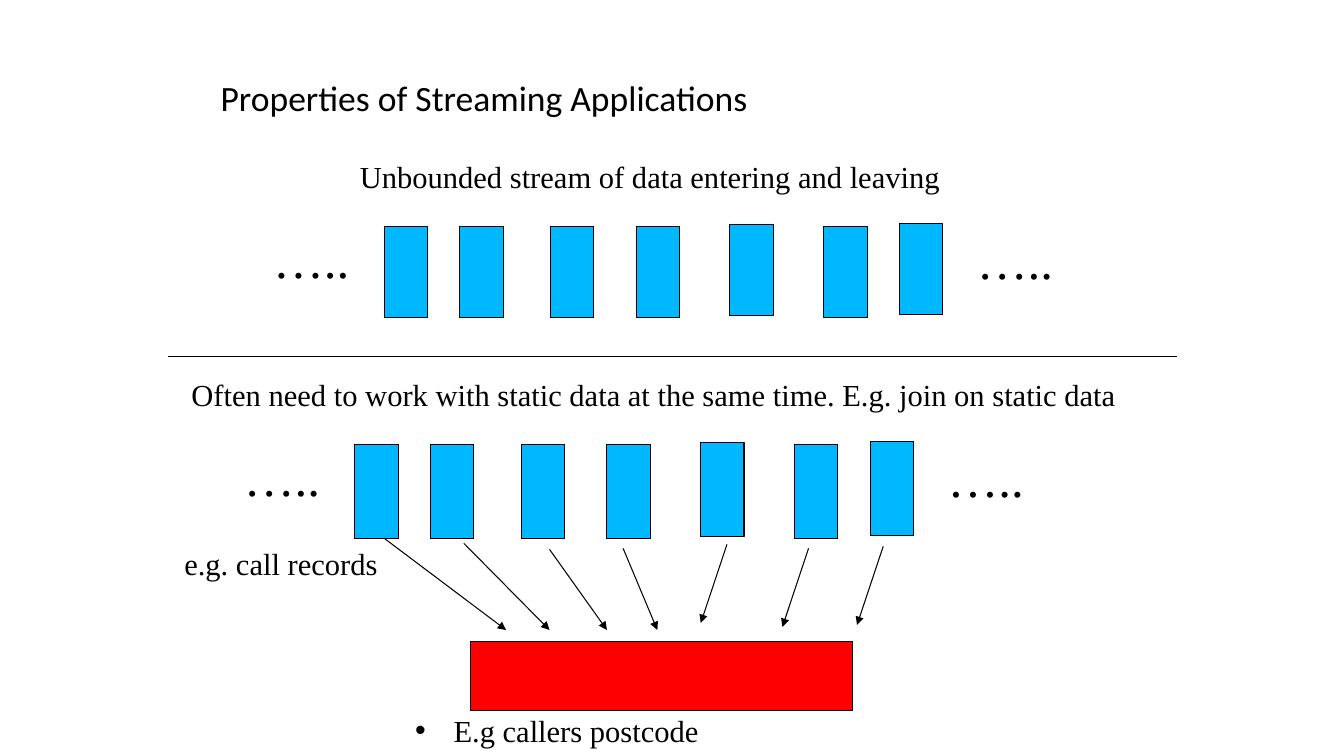
from lxml import etree
from pptx import Presentation, util as u
from pptx.dml.color import RGBColor
from pptx.enum import shapes, text
from pptx.oxml.ns import qn

BLACK = RGBColor(0x00, 0x00, 0x00)
BLUE = RGBColor(0x00, 0xB8, 0xFF)
RED = RGBColor(0xFF, 0x00, 0x00)
SERIF = "Times New Roman"

TITLE = "Properties of Streaming Applications"
DOTS = "….."
# Captions: wording, (left, top, width), bulleted
STREAM_CAPTION = ("Unbounded stream of data entering and leaving", (3.47, 1.52, 5.99), False)
JOIN_CAPTIONS = [
    ("Often need to work with static data at the same time. E.g. join on static data",
     (1.8, 3.68, 9.44), False),
    ("E.g callers postcode", (4.02, 7.01, 3.03), True),
    ("e.g. call records", (1.73, 5.36, 2.13), False),
]
# Packets of a stream, as (right, down) from its first packet
PACKETS = [(0, 0), (0.75, 0), (1.65, 0), (2.5, 0), (3.43, -0.02), (4.36, 0), (5.11, -0.03)]
PACKET_WIDTH = 0.43
# Dots before and after a stream, likewise
DOTS_OFFSETS = [(5.78, -0.03), (-1.2, -0.04)]
# Streams: left, top, packet height
STREAM = (3.81, 2.25, 0.9)
JOINED_STREAM = (3.52, 4.41, 0.93)
STATIC_DATA = (4.67, 6.36, 3.79, 0.69)
DIVIDER = ((1.67, 3.54), (11.67, 3.54))
LOOKUPS = [
    ((3.81, 5.34), (5.02, 6.25)),
    ((4.6, 5.39), (5.45, 6.25)),
    ((5.45, 5.45), (6.02, 6.25)),
    ((6.18, 5.44), (6.52, 6.25)),
    ((7.21, 5.4), (6.95, 6.18)),
    ((8.02, 5.44), (7.76, 6.22)),
    ((8.76, 5.42), (8.5, 6.2)),
]

deck = Presentation()
deck.slide_width, deck.slide_height = u.Inches(13.33), u.Inches(7.5)
slide = deck.slides.add_slide(deck.slide_layouts[6])


def inches(*lengths):
    return [u.Inches(length) for length in lengths]


def add_text(words, place, size=21.8, font=SERIF, wrap=False, bullet=False,
             anchor=text.MSO_ANCHOR.TOP, spacing=None):
    frame = slide.shapes.add_textbox(*inches(*place)).text_frame
    frame.word_wrap = wrap
    frame.vertical_anchor = anchor
    if not wrap:
        frame.auto_size = text.MSO_AUTO_SIZE.SHAPE_TO_FIT_TEXT
    paragraph = frame.paragraphs[0]
    if bullet:
        props = paragraph._p.get_or_add_pPr()
        props.set("marL", str(u.Inches(0.38)))
        props.set("indent", str(u.Inches(-0.38)))
        etree.SubElement(props, qn("a:buFont")).set("typeface", "Arial")
        etree.SubElement(props, qn("a:buChar")).set("char", "•")
    if spacing:
        paragraph.line_spacing = spacing
    run = paragraph.add_run()
    run.text = words
    run.font.size = u.Pt(size)
    run.font.name = font
    run.font.color.rgb = BLACK


def add_box(place, fill):
    box = slide.shapes.add_shape(shapes.MSO_SHAPE.RECTANGLE, *inches(*place))
    box.shadow.inherit = False
    box.fill.solid()
    box.fill.fore_color.rgb = fill
    box.line.color.rgb = BLACK
    box.line.width = u.Pt(0.75)


def add_line(start, end, arrow=False):
    line = slide.shapes.add_connector(shapes.MSO_CONNECTOR.STRAIGHT, *inches(*start, *end))
    line.line.color.rgb = BLACK
    line.line.width = u.Pt(0.75)
    if arrow:
        etree.SubElement(line.line._get_or_add_ln(), qn("a:tailEnd")).set("type", "triangle")
    etree.SubElement(line._element.spPr, qn("a:effectLst"))


def add_stream(left, top, height):
    """Draw a row of packets with dots on both sides."""
    for right, down in PACKETS:
        add_box((left + right, top + down, PACKET_WIDTH, height), BLUE)
    for right, down in DOTS_OFFSETS:
        add_text(DOTS, (left + right, top + down, 0.97, 0.71), size=36.3)


def add_caption(words, place, bullet):
    add_text(words, (*place, 0.47), bullet=bullet)


add_text(TITLE, (2.09, 0.61, 8.9, 0.76), size=25.4, font="Calibri", wrap=True,
         anchor=text.MSO_ANCHOR.MIDDLE, spacing=0.9)
add_stream(*STREAM)
add_caption(*STREAM_CAPTION)
add_line(*DIVIDER)
add_stream(*JOINED_STREAM)
add_box(STATIC_DATA, RED)
for start, end in LOOKUPS:
    add_line(start, end, arrow=True)
for caption in JOIN_CAPTIONS:
    add_caption(*caption)

deck.save("out.pptx")
